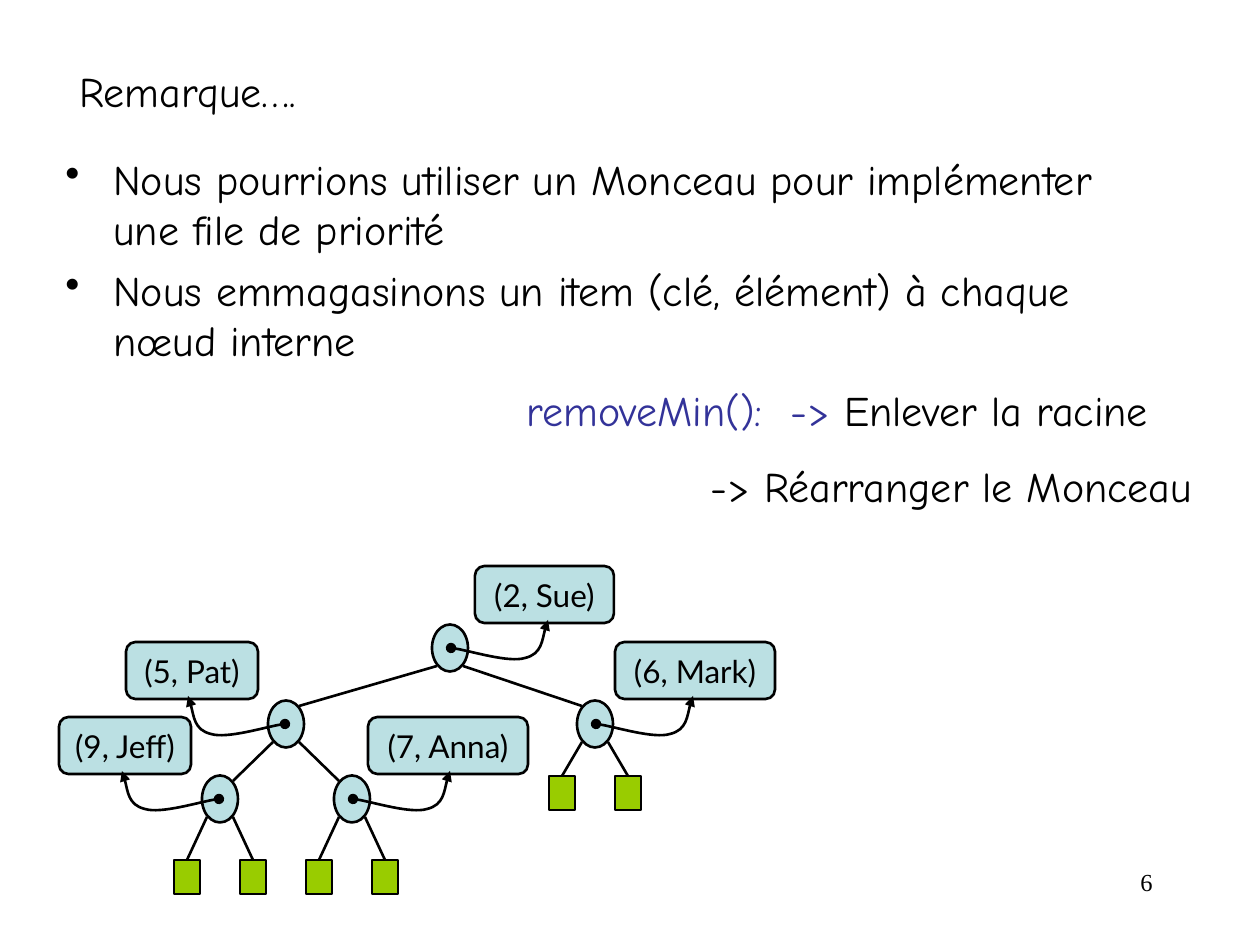
from dataclasses import dataclass

from lxml.etree import SubElement
from pptx import Presentation
from pptx.dml.color import RGBColor
from pptx.enum.shapes import MSO_CONNECTOR, MSO_SHAPE
from pptx.enum.text import MSO_ANCHOR, PP_ALIGN
from pptx.oxml.ns import qn
from pptx.util import Pt

EMU_PER_PX = 914400 / 126


def px(length):
    return round(length * EMU_PER_PX)


@dataclass(frozen=True)
class Theme:
    ink: RGBColor = RGBColor(0x00, 0x00, 0x00)
    accent: RGBColor = RGBColor(0x33, 0x33, 0x99)
    node: RGBColor = RGBColor(0xBB, 0xE0, 0xE3)
    leaf: RGBColor = RGBColor(0x99, 0xCC, 0x00)
    body_font: str = "Comic Neue"
    label_font: str = "Lato"
    number_font: str = "Times New Roman"
    body_size: int = 24
    label_size: int = 18
    number_size: int = 14
    stroke: float = 1.5


class HeapSlide:
    node_width, node_height = 36, 47
    leaf_width, leaf_height = 26, 34
    label_height, label_rise = 57, 82
    joint_x, joint_y = 13, 18
    pointer_curve = [(13, 1), (58, 15), (74, 10), (91, 6), (93, -19), (97, -28)]

    def __init__(self, slide, theme):
        self.slide = slide
        self.theme = theme

    def style(self, run, font, size, color=None):
        run.font.name = font
        run.font.size = Pt(size)
        run.font.color.rgb = color or self.theme.ink

    def body_style(self, paragraph, color=None):
        for run in paragraph.runs:
            self.style(run, self.theme.body_font, self.theme.body_size, color)

    def stroke(self, shape):
        shape.line.color.rgb = self.theme.ink
        shape.line.width = Pt(self.theme.stroke)

    def text(self, left, top, width, height, lines, wrap=True):
        frame = self.slide.shapes.add_textbox(
            px(left), px(top), px(width), px(height)).text_frame
        frame.word_wrap = wrap
        frame.text = "\n".join(lines)
        for paragraph in frame.paragraphs:
            self.body_style(paragraph)
        return frame.paragraphs

    def bullet(self, paragraph, indent):
        properties = paragraph._p.get_or_add_pPr()
        properties.set("marL", str(px(indent)))
        properties.set("indent", str(-px(indent)))
        bullet_color = SubElement(properties, qn("a:buClr"))
        SubElement(bullet_color, qn("a:srgbClr"), val=str(self.theme.ink))
        SubElement(properties, qn("a:buChar"), char="•")

    def tab_stop(self, paragraph, position):
        stops = SubElement(paragraph._p.get_or_add_pPr(), qn("a:tabLst"))
        SubElement(stops, qn("a:tab"), pos=str(px(position)), algn="l")

    def shape(self, kind, left, top, width, height, color):
        shape = self.slide.shapes.add_shape(
            kind, px(left), px(top), px(width), px(height))
        shape.shadow.inherit = False
        shape.fill.solid()
        shape.fill.fore_color.rgb = color
        self.stroke(shape)
        return shape

    def node(self, x, y):
        self.shape(MSO_SHAPE.OVAL, x - self.node_width / 2, y - self.node_height / 2,
                   self.node_width, self.node_height, self.theme.node)

    def edge(self, start, end):
        edge = self.slide.shapes.add_connector(
            MSO_CONNECTOR.STRAIGHT, *(px(value) for value in (*start, *end)))
        self.stroke(edge)
        SubElement(edge._element.spPr, qn("a:effectLst"))
        return edge

    def branch(self, parent, child):
        side = 1 if child[0] > parent[0] else -1
        self.edge((parent[0] + side * self.joint_x, parent[1] + self.joint_y),
                  (child[0] - side * self.joint_x, child[1] - self.joint_y))

    def leaves(self, x, y, drop):
        for side in (-1, 1):
            center, top = x + side * 33, y + drop
            leaf = self.shape(MSO_SHAPE.RECTANGLE, center - self.leaf_width / 2, top,
                              self.leaf_width, self.leaf_height, self.theme.leaf)
            self.edge((x + side * self.joint_x, y + self.joint_y),
                      (center, top)).end_connect(leaf, 0)

    def label(self, left, node_y, width, item):
        box = self.shape(MSO_SHAPE.ROUNDED_RECTANGLE, left, node_y - self.label_rise,
                         width, self.label_height, self.theme.node)
        frame = box.text_frame
        frame.word_wrap = False
        frame.vertical_anchor = MSO_ANCHOR.MIDDLE
        frame.text = item
        paragraph = frame.paragraphs[0]
        paragraph.alignment = PP_ALIGN.CENTER
        self.style(paragraph.runs[0], self.theme.label_font, self.theme.label_size)

    def pointer(self, x, y, side):
        start = x + side
        builder = self.slide.shapes.build_freeform(start, y, scale=EMU_PER_PX)
        builder.add_line_segments(
            [(start + side * dx, y + dy) for dx, dy in self.pointer_curve], close=False)
        curve = builder.convert_to_shape()
        curve.shadow.inherit = False
        curve.fill.background()
        self.stroke(curve)
        outline = curve._element.spPr.find(qn("a:ln"))
        SubElement(outline, qn("a:headEnd"), type="oval")
        SubElement(outline, qn("a:tailEnd"), type="triangle")
        route = next(curve._element.iter(qn("a:path")))
        segments = route.findall(qn("a:lnTo"))
        for first in range(0, len(segments), 3):
            bezier = SubElement(route, qn("a:cubicBezTo"))
            for segment in segments[first:first + 3]:
                bezier.append(segment[0])
                route.remove(segment)


def main():
    theme = Theme()
    deck = Presentation()
    deck.slide_width, deck.slide_height = px(1260), px(945)
    page = HeapSlide(deck.slides.add_slide(deck.slide_layouts[6]), theme)

    page.text(67, 59, 243, 63, ["Remarque…."], wrap=False)
    remarks = page.text(53, 147, 1061, 262, [
        "Nous pourrions utiliser un Monceau pour implémenter une file de priorité",
        "Nous emmagasinons un item (clé, élément) à chaque nœud interne",
    ])
    for remark in remarks:
        page.bullet(remark, 48)
    remarks[1].space_before = Pt(6)

    removal, rearrangement = page.text(
        514, 378, 703, 140, ["removeMin():\t-> ", "-> Réarranger le Monceau"])
    page.tab_stop(removal, 264)
    page.body_style(removal, theme.accent)
    root_step = removal.add_run()
    root_step.text = "Enlever la racine"
    page.style(root_step, theme.body_font, theme.body_size)
    rearrangement._p.get_or_add_pPr().set("marL", str(px(184)))
    rearrangement.space_before = Pt(15)

    sue, pat, mark, jeff, anna = (450, 648), (286, 724), (595, 724), (220, 799), (352, 799)
    for parent, child in ((sue, pat), (sue, mark), (pat, jeff), (pat, anna)):
        page.branch(parent, child)
    for parent, drop in ((jeff, 61), (anna, 61), (mark, 52)):
        page.leaves(*parent, drop)

    entries = [
        (sue, 1, 475, 139, "(2, Sue)"),
        (mark, 1, 615, 160, "(6, Mark)"),
        (pat, -1, 126, 132, "(5, Pat)"),
        (jeff, -1, 59, 132, "(9, Jeff)"),
        (anna, 1, 368, 160, "(7, Anna)"),
    ]
    for center, side, left, width, item in entries:
        page.node(*center)
        page.label(left, center[1], width, item)
        page.pointer(*center, side)

    number = page.text(903, 861, 262, 63, ["6"])[0]
    number.alignment = PP_ALIGN.RIGHT
    page.style(number.runs[0], theme.number_font, theme.number_size)
    deck.save("out.pptx")


if __name__ == "__main__":
    main()
